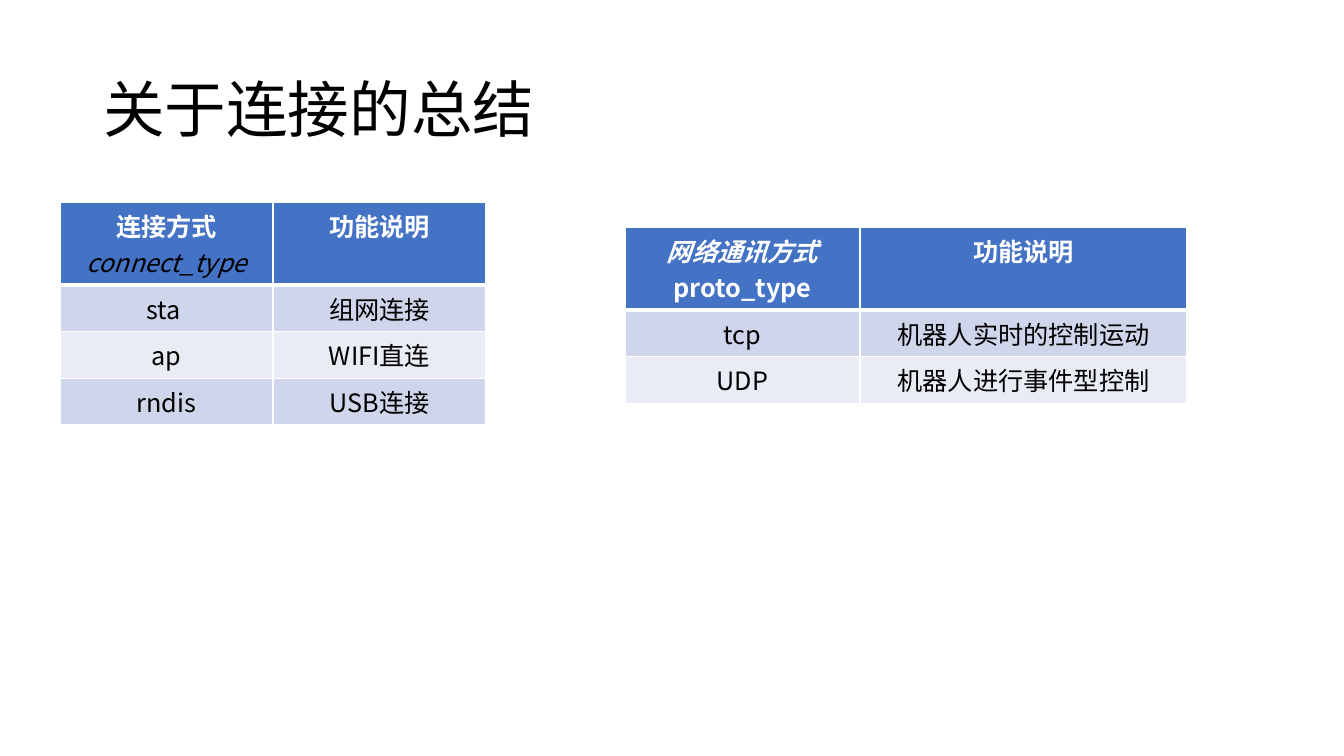
from lxml.etree import SubElement
from pptx import Presentation
from pptx.dml.color import RGBColor
from pptx.enum.text import MSO_ANCHOR as Anchor, MSO_AUTO_SIZE as AutoSize, PP_ALIGN as Align
from pptx.oxml.ns import qn
from pptx.util import Pt

EMU_PER_PX = 914400 / 100.8
FONT = "Noto Sans CJK SC"
WHITE, BLACK, BLUE = "FFFFFF", "000000", "4472C4"
BANDS = ("CFD5EA", "E9EBF5")
ROW_HEIGHT = 36

CONNECTIONS = [
    ("sta ", "组网连接"),
    ("ap", "WIFI直连"),
    ("rndis", "USB连接"),
]
PROTOCOLS = [
    ("tcp", "机器人实时的控制运动"),
    ("UDP", "机器人进行事件型控制"),
]


def px(length):
    return round(length * EMU_PER_PX)


def color(value):
    return RGBColor.from_string(value)


def add_text(para, text, size=18, fill=BLACK, bold=False, italic=False):
    span = para.add_run()
    span.text = text
    font = span.font
    font.name, font.size = FONT, Pt(size)
    font.bold, font.italic = bold, italic
    font.color.rgb = color(fill)
    SubElement(font._element, qn("a:ea"), typeface=FONT)


def add_title(page, text, left, top, width, height):
    title = page.shapes.title
    title.left, title.top = px(left), px(top)
    title.width, title.height = px(width), px(height)
    frame = title.text_frame
    frame.auto_size = AutoSize.NONE
    frame.word_wrap = True
    frame.vertical_anchor = Anchor.MIDDLE
    para = frame.paragraphs[0]
    para.alignment = Align.LEFT
    para.line_spacing = 0.9
    add_text(para, text, size=44)


def set_borders(cell, **widths):
    properties = cell._tc.get_or_add_tcPr()
    for side in "LRTB":
        line = SubElement(properties, qn(f"a:ln{side}"), w=str(Pt(widths.get(side, 1))))
        fill = SubElement(line, qn("a:solidFill"))
        SubElement(fill, qn("a:srgbClr"), val=WHITE)


def fill_cell(cell, paragraphs, background, **borders):
    set_borders(cell, **borders)
    cell.fill.solid()
    cell.fill.fore_color.rgb = color(background)
    frame = cell.text_frame
    for index, spans in enumerate(paragraphs):
        para = frame.add_paragraph() if index else frame.paragraphs[0]
        para.alignment = Align.CENTER
        for text, style in spans:
            add_text(para, text, **style)


def add_summary_table(page, left, top, widths, header, rows):
    row_count = len(rows) + 1
    table = page.shapes.add_table(
        row_count, len(widths), px(left), px(top),
        px(sum(widths)), px(ROW_HEIGHT * row_count),
    ).table
    for column, width in zip(table.columns, widths):
        column.width = px(width)
    for row in table.rows:
        row.height = px(ROW_HEIGHT)
    for index, paragraphs in enumerate(header):
        fill_cell(table.cell(0, index), paragraphs, BLUE, B=3)
    for number, texts in enumerate(rows):
        for index, text in enumerate(texts):
            fill_cell(table.cell(number + 1, index), [[(text, {})]],
                      BANDS[number % 2], T=1 if number else 3)


def main():
    deck = Presentation()
    deck.slide_width, deck.slide_height = px(1344), px(756)
    page = deck.slides.add_slide(deck.slide_layouts.get_by_name("Title Only"))
    add_title(page, "关于连接的总结", 93, 40, 1159, 146)

    heading = {"fill": WHITE, "bold": True}
    slanted = {**heading, "italic": True}
    purpose = [[("功能说明", heading)]]
    connection = [[("连接方式", heading)], [("connect_type", {"italic": True})]]
    protocol = [[("网络通讯方式 ", slanted), ("proto_type", heading)]]
    add_summary_table(page, 60, 202, (213, 213), (connection, purpose), CONNECTIONS)
    add_summary_table(page, 625, 227, (235, 327), (protocol, purpose), PROTOCOLS)
    deck.save("out.pptx")


if __name__ == "__main__":
    main()
